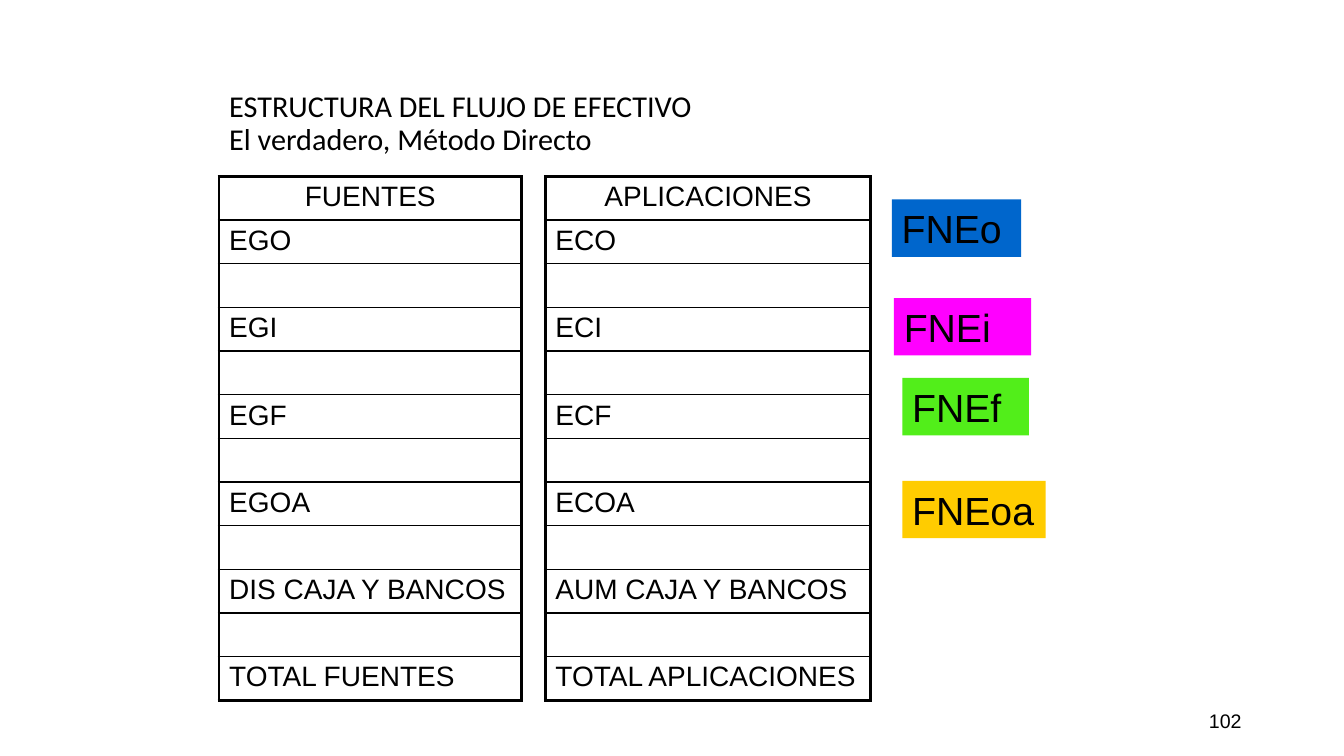
"""Build the cash flow structure slide."""
import dataclasses

import pptx
import pptx.dml.color
import pptx.enum.shapes
import pptx.enum.text
import pptx.oxml
import pptx.oxml.ns
import pptx.util

Pt = pptx.util.Pt
ALIGN = pptx.enum.text.PP_ALIGN
ANCHOR = pptx.enum.text.MSO_ANCHOR
FIT = pptx.enum.text.MSO_AUTO_SIZE


@dataclasses.dataclass(frozen=True)
class Theme:
    """Hold the colours, fonts and sizes of the slide."""
    ink: str = "000000"
    blue: str = "0066CC"
    pink: str = "FF00FF"
    green: str = "52EE1A"
    gold: str = "FFCC00"
    head: str = "Calibri"
    body: str = "Arial"
    title: float = 21.6
    cell: float = 20
    tag: float = 28
    page: float = 14
    thick: float = 2.25
    thin: float = 1


THEME = Theme()
ROWS = 12
ROW_TALL = 31.2


def apply(item, form):
    """Set each attribute named in a dict."""
    for name, value in form.items():
        setattr(item, name, value)


def write(frame, text, size, face=THEME.body, **form):
    """Fill a text frame with one styled paragraph."""
    para = frame.paragraphs[0]
    para.text = text
    apply(para, form)
    for run in para.runs:
        apply(run.font, {"size": Pt(size), "name": face})
        run.font.color.rgb = pptx.dml.color.RGBColor.from_string(THEME.ink)
    return para


def add_title(slide, text, box):
    """Place and format the title."""
    title = slide.shapes.title
    apply(title, dict(zip(("left", "top", "width", "height"), map(Pt, box))))
    apply(title.text_frame, {"word_wrap": True, "auto_size": FIT.NONE,
                             "vertical_anchor": ANCHOR.MIDDLE})
    write(title.text_frame, text, THEME.title, THEME.head,
          alignment=ALIGN.LEFT, line_spacing=0.9)


def add_edge(cell, side, width):
    """Draw one border of a cell."""
    space = pptx.oxml.ns.nsdecls("a")
    line = pptx.oxml.parse_xml(
        f'<a:{side} {space} w="{Pt(width)}"><a:solidFill>'
        f'<a:srgbClr val="{THEME.ink}"/></a:solidFill></a:{side}>')
    cell._tc.get_or_add_tcPr().append(line)


def add_list(slide, left, width, labels):
    """Add a one-column table with a blank row after each entry."""
    frame = slide.shapes.add_table(ROWS, 1, Pt(left), Pt(126), Pt(width),
                                   Pt(ROWS * ROW_TALL))
    table = frame.table
    apply(table, {"first_row": False, "horz_banding": False})
    table.columns[0].width = Pt(width)
    texts = dict(zip([0, *range(1, ROWS, 2)], labels))
    for index, row in enumerate(table.rows):
        row.height = Pt(ROW_TALL)
        cell = row.cells[0]
        top = THEME.thick if index == 0 else THEME.thin
        base = THEME.thick if index == ROWS - 1 else THEME.thin
        edges = {"lnL": THEME.thick, "lnR": THEME.thick,
                 "lnT": top, "lnB": base}
        for side, size in edges.items():
            add_edge(cell, side, size)
        cell.fill.background()
        if index in texts:
            write(cell.text_frame, texts[index], THEME.cell,
                  alignment=ALIGN.LEFT if index else ALIGN.CENTER)


def add_tag(slide, text, fill, left, top, width):
    """Add a coloured label."""
    tag = slide.shapes.add_shape(pptx.enum.shapes.MSO_SHAPE.RECTANGLE,
                                 Pt(left), Pt(top), Pt(width), Pt(41))
    tag.shadow.inherit = False
    tag.fill.solid()
    tag.fill.fore_color.rgb = pptx.dml.color.RGBColor.from_string(fill)
    tag.line.fill.background()
    apply(tag.text_frame, {"word_wrap": True, "vertical_anchor": ANCHOR.TOP,
                           "auto_size": FIT.SHAPE_TO_FIT_TEXT})
    para = write(tag.text_frame, text, THEME.tag, alignment=ALIGN.LEFT)
    for name, size in {"marL": 27, "indent": -27}.items():
        para._p.get_or_add_pPr().set(name, str(Pt(size)))


def add_page(slide, text):
    """Add the page number."""
    box = slide.shapes.add_textbox(Pt(678), Pt(500.5), Pt(216), Pt(28.8))
    apply(box.text_frame, {"word_wrap": True,
                           "vertical_anchor": ANCHOR.MIDDLE})
    write(box.text_frame, text, THEME.page, alignment=ALIGN.RIGHT)


def main():
    """Build and save the slide."""
    deck = pptx.Presentation()
    apply(deck, {"slide_width": Pt(960), "slide_height": Pt(540)})
    slide = deck.slides.add_slide(deck.slide_layouts[5])
    add_title(slide, "ESTRUCTURA DEL FLUJO DE EFECTIVO\n"
              "El verdadero, Método Directo", (156.5, 65.5, 574, 46))
    add_list(slide, 156.5, 216, ["FUENTES", "EGO", "EGI", "EGF", "EGOA",
                                 "DIS CAJA Y BANCOS", "TOTAL FUENTES"])
    add_list(slide, 389.5, 232.5, ["APLICACIONES", "ECO", "ECI", "ECF", "ECOA",
                                   "AUM CAJA Y BANCOS", "TOTAL APLICACIONES"])
    add_page(slide, "102")
    for tag in (("FNEo", THEME.blue, 637, 142.5, 92.5),
                ("FNEi", THEME.pink, 638.5, 213, 98),
                ("FNEf", THEME.green, 644.5, 270, 90.5),
                ("FNEoa", THEME.gold, 644.5, 343.5, 102.5)):
        add_tag(slide, *tag)
    deck.save("out.pptx")


if __name__ == "__main__":
    main()
